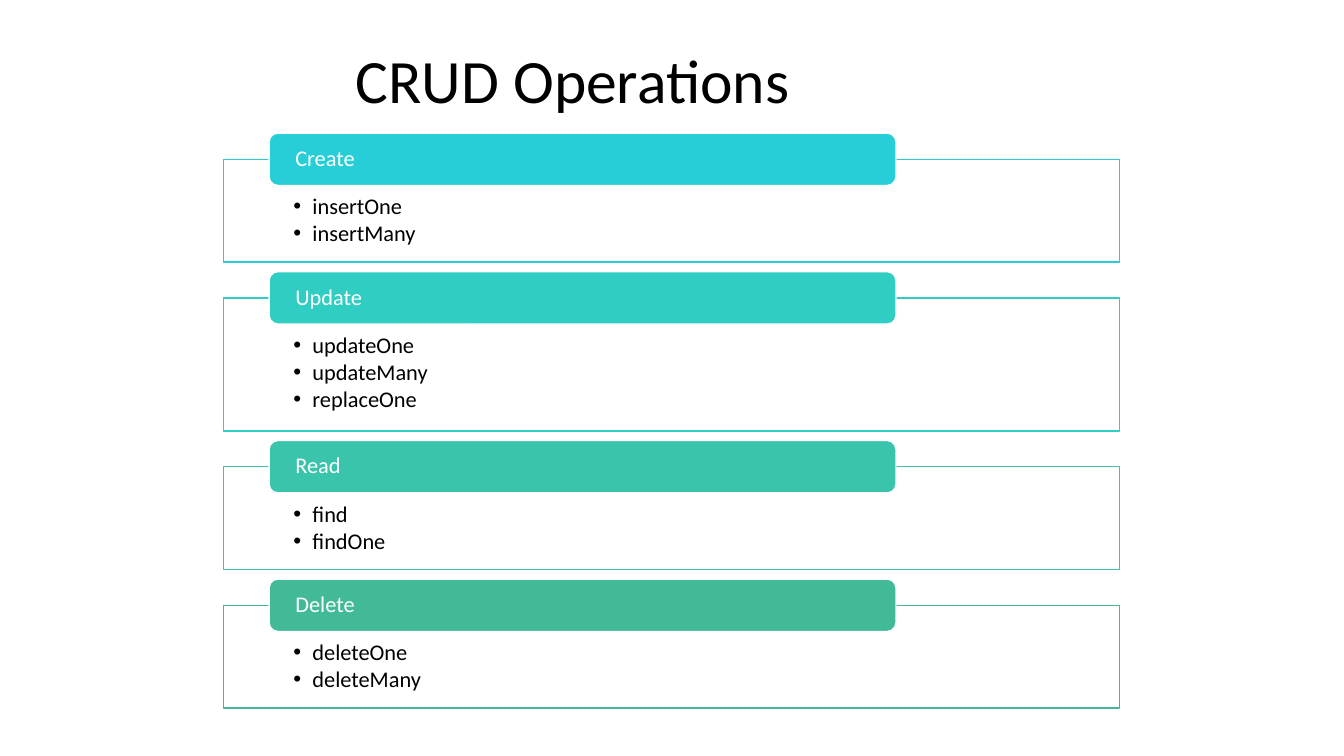
from dataclasses import dataclass

from lxml.etree import SubElement
from pptx import Presentation
from pptx.dml.color import RGBColor
from pptx.enum.shapes import MSO_SHAPE
from pptx.enum.text import MSO_ANCHOR, MSO_AUTO_SIZE, PP_ALIGN
from pptx.oxml.ns import qn
from pptx.shapes.autoshape import Shape
from pptx.slide import Slide
from pptx.text.text import TextFrame
from pptx.util import Emu, Pt

EMU_PER_PX = 4572  # 200 px to the inch
FONT = "Calibri"
COLORS = {
    "white": "FFFFFF",
    "black": "000000",
    "create": "27CED7",
    "update": "30CDC3",
    "read": "39C4AB",
    "delete": "42BA97",
}

PANEL_LEFT, PANEL_WIDTH = 444, 1778
FIRST_PANEL_TOP = 316
PANEL_PADDING, ITEM_HEIGHT = 84, 60
PANEL_GAP = 71
HEADER_LEFT, HEADER_WIDTH, HEADER_HEIGHT = 534, 1244, 104
HEADER_RISE = 52
BULLET_INDENT = 38


@dataclass(frozen=True)
class Operation:
    name: str
    color: str
    methods: tuple[str, ...]

    @property
    def panel_height(self) -> int:
        return PANEL_PADDING + ITEM_HEIGHT * len(self.methods)


OPERATIONS = (
    Operation("Create", "create", ("insertOne", "insertMany")),
    Operation("Update", "update", ("updateOne", "updateMany", "replaceOne")),
    Operation("Read", "read", ("find", "findOne")),
    Operation("Delete", "delete", ("deleteOne", "deleteMany")),
)


def px(length: int) -> Emu:
    return Emu(length * EMU_PER_PX)


def rgb(name: str) -> RGBColor:
    return RGBColor.from_string(COLORS[name])


def apply_format(target: object, values: dict[str, object]) -> None:
    for attribute, value in values.items():
        setattr(target, attribute, value)


def add_box(slide: Slide, kind: MSO_SHAPE, box: tuple[int, int, int, int],
            fill: str, line: str) -> Shape:
    shape = slide.shapes.add_shape(kind, *map(px, box))
    shape.shadow.inherit = False
    shape.fill.solid()
    shape.fill.fore_color.rgb = rgb(fill)
    shape.line.color.rgb = rgb(line)
    shape.line.width = Pt(1)
    return shape


def write_lines(frame: TextFrame, lines: tuple[str, ...], size: int, color: str,
                paragraph_format: dict[str, object]) -> None:
    frame.text = "\n".join(lines)
    for paragraph in frame.paragraphs:
        apply_format(paragraph, {"alignment": PP_ALIGN.LEFT, **paragraph_format})
        font = paragraph.runs[0].font
        apply_format(font, {"name": FONT, "size": Pt(size)})
        font.color.rgb = rgb(color)


def add_bullets(frame: TextFrame) -> None:
    for paragraph in frame.paragraphs:
        properties = paragraph._p.get_or_add_pPr()
        properties.set("marL", str(px(BULLET_INDENT)))
        properties.set("indent", str(px(-BULLET_INDENT)))
        SubElement(properties, qn("a:buFont"), typeface="Arial")
        SubElement(properties, qn("a:buChar"), char="•")


def add_panel(slide: Slide, operation: Operation, top: int) -> None:
    box = (PANEL_LEFT, top, PANEL_WIDTH, operation.panel_height)
    panel = add_box(slide, MSO_SHAPE.RECTANGLE, box, "white", operation.color)
    fill_color = panel._element.spPr.find(qn("a:solidFill"))[0]
    SubElement(fill_color, qn("a:alpha"), val="90000")
    frame = panel.text_frame
    apply_format(frame, {
        "margin_left": px(138), "margin_right": px(138),
        "margin_top": px(72), "margin_bottom": px(24),
        "vertical_anchor": MSO_ANCHOR.TOP, "word_wrap": True,
    })
    write_lines(frame, operation.methods, 16, "black",
                {"level": 1, "line_spacing": 0.9, "space_after": Pt(2)})
    add_bullets(frame)


def add_header(slide: Slide, operation: Operation, panel_top: int) -> None:
    box = (HEADER_LEFT, panel_top - HEADER_RISE, HEADER_WIDTH, HEADER_HEIGHT)
    header = add_box(slide, MSO_SHAPE.ROUNDED_RECTANGLE, box,
                     operation.color, "white")
    frame = header.text_frame
    apply_format(frame, {
        "margin_left": px(47), "margin_right": px(47),
        "margin_top": 0, "margin_bottom": 0,
        "vertical_anchor": MSO_ANCHOR.MIDDLE, "word_wrap": True,
    })
    write_lines(frame, (operation.name,), 16, "white", {"line_spacing": 0.9})


def set_title(slide: Slide, text: str) -> None:
    title = slide.shapes.title
    apply_format(title, {"left": px(686), "top": px(74),
                         "width": px(2022), "height": px(168)})
    apply_format(title.text_frame, {
        "vertical_anchor": MSO_ANCHOR.TOP, "word_wrap": True,
        "auto_size": MSO_AUTO_SIZE.SHAPE_TO_FIT_TEXT,
    })
    write_lines(title.text_frame, (text,), 44, "black", {})


def main() -> None:
    presentation = Presentation()
    apply_format(presentation, {"slide_width": px(2667), "slide_height": px(1500)})
    slide = presentation.slides.add_slide(
        presentation.slide_layouts.get_by_name("Title Only"))
    set_title(slide, "CRUD Operations")
    top = FIRST_PANEL_TOP
    for operation in OPERATIONS:
        add_panel(slide, operation, top)
        add_header(slide, operation, top)
        top += operation.panel_height + PANEL_GAP
    presentation.save("out.pptx")


if __name__ == "__main__":
    main()
